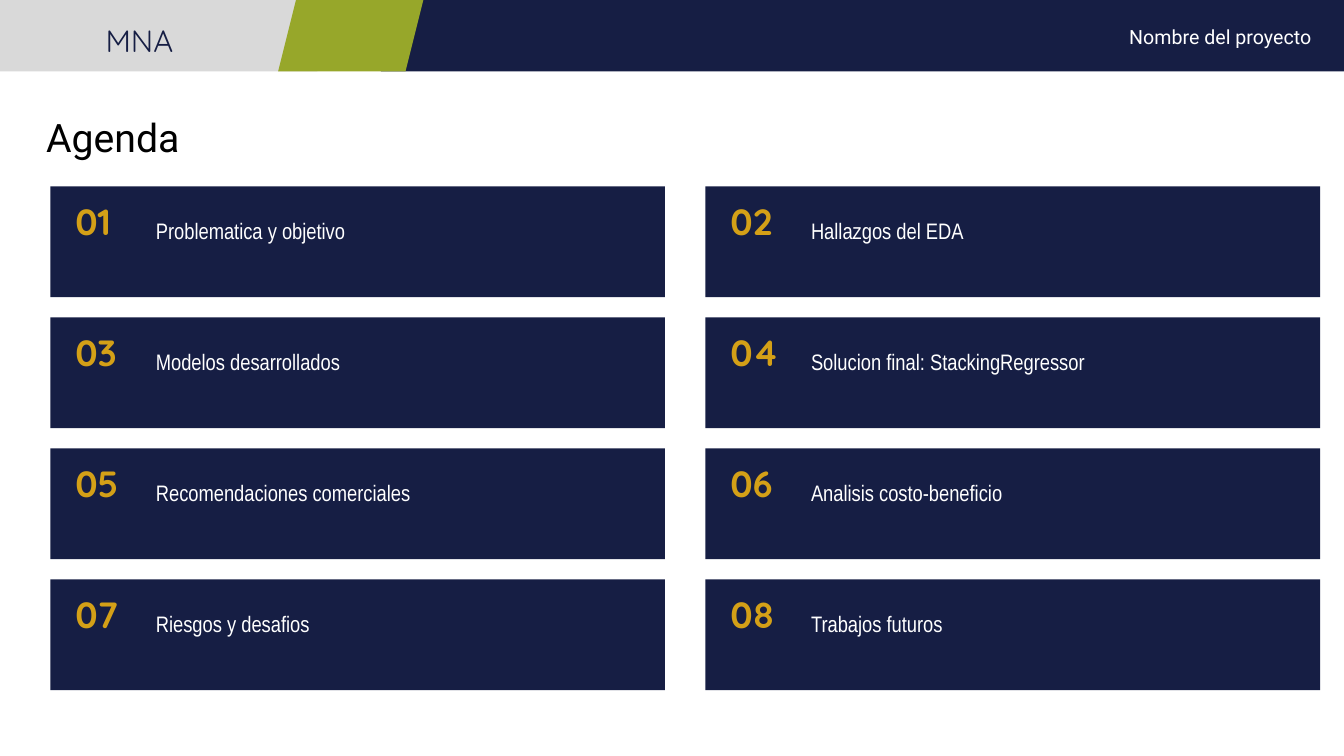
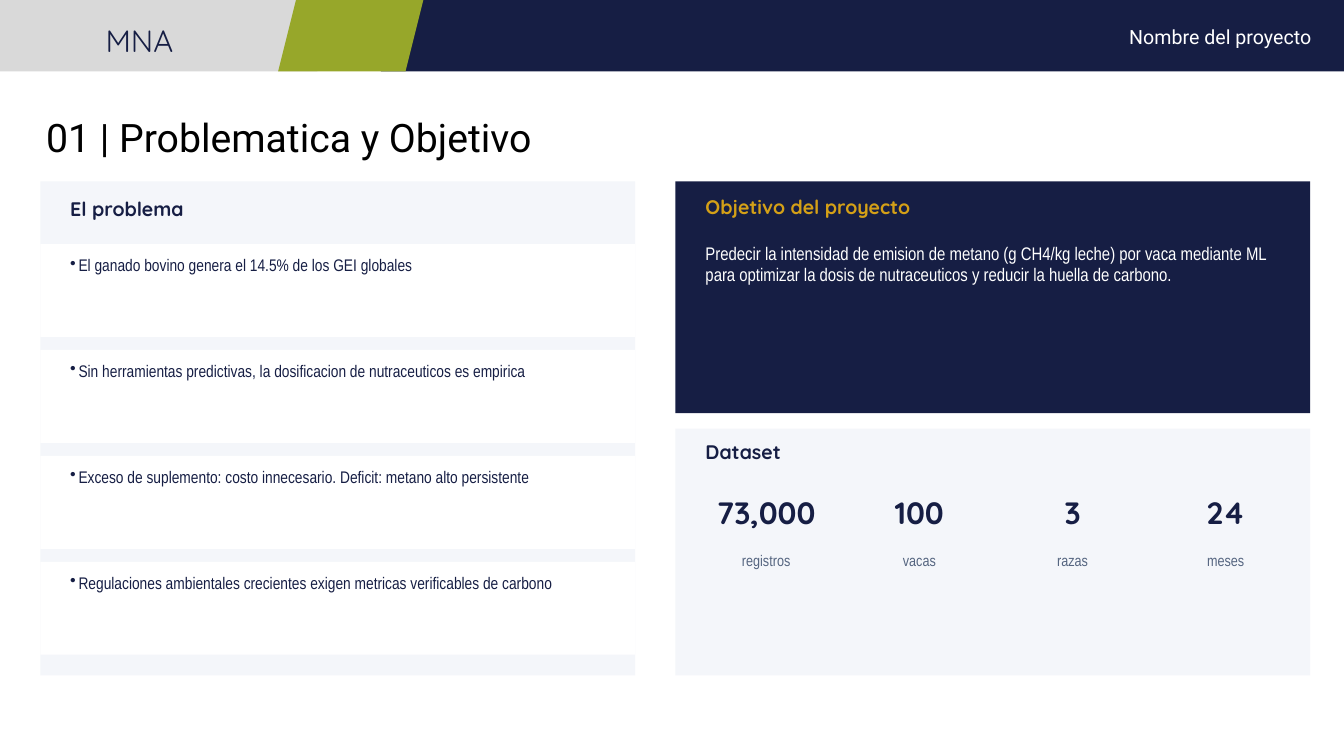
from dataclasses import dataclass

from lxml.etree import SubElement
from pptx import Presentation
from pptx.dml.color import RGBColor
from pptx.enum.shapes import MSO_SHAPE as Preset
from pptx.enum.text import MSO_ANCHOR as Anchor, MSO_AUTO_SIZE as AutoSize, PP_ALIGN as Align
from pptx.oxml.ns import qn
from pptx.shapes.autoshape import Shape
from pptx.slide import Slide
from pptx.util import Cm, Pt

NAVY = RGBColor(0x16, 0x1E, 0x44)
GOLD = RGBColor(0xD4, 0xA0, 0x17)
GREEN = RGBColor(0x97, 0xA7, 0x2A)
GREY = RGBColor(0xD9, 0xD9, 0xD9)
PALE = RGBColor(0xF4, 0xF6, 0xFA)
SLATE = RGBColor(0x55, 0x65, 0x80)
WHITE = RGBColor(0xFF, 0xFF, 0xFF)
BLACK = RGBColor(0x00, 0x00, 0x00)

PAGE_WIDTH, PAGE_HEIGHT = 33.87, 19.05
BAND_HEIGHT = 1.8
BULLET_INDENT = 0.21


@dataclass(frozen=True)
class Area:
    left: float
    top: float
    width: float
    height: float

    def lengths(self) -> tuple[Cm, Cm, Cm, Cm]:
        return Cm(self.left), Cm(self.top), Cm(self.width), Cm(self.height)


@dataclass(frozen=True)
class Style:
    font: str
    size: int
    color: RGBColor
    bold: bool = False
    align: Align = Align.LEFT
    line_spacing: float = 1.0


@dataclass(frozen=True)
class Figure:
    value: str
    unit: str


TITLE = Style("Roboto", 28, BLACK)
PROJECT = Style("Roboto", 14, WHITE, align=Align.RIGHT, line_spacing=1.15)
PROGRAM = Style("Quicksand", 22, NAVY, align=Align.CENTER, line_spacing=1.15)
AGENDA_NUMBER = Style("Quicksand", 26, GOLD, bold=True)
AGENDA_TOPIC = Style("Arial Narrow", 16, WHITE)
HEADING = Style("Quicksand", 14, NAVY, bold=True)
GOLD_HEADING = Style("Quicksand", 14, GOLD, bold=True)
BULLET = Style("Arial Narrow", 12, NAVY)
OBJECTIVE = Style("Arial Narrow", 13, WHITE)
FIGURE_VALUE = Style("Quicksand", 22, NAVY, bold=True, align=Align.CENTER)
FIGURE_UNIT = Style("Arial Narrow", 11, SLATE, align=Align.CENTER)

TOPICS = [
    "Problematica y objetivo",
    "Hallazgos del EDA",
    "Modelos desarrollados",
    "Solucion final: StackingRegressor",
    "Recomendaciones comerciales",
    "Analisis costo-beneficio",
    "Riesgos y desafios",
    "Trabajos futuros",
]
PROBLEMS = [
    "El ganado bovino genera el 14.5% de los GEI globales",
    "Sin herramientas predictivas, la dosificacion de nutraceuticos es empirica",
    "Exceso de suplemento: costo innecesario. Deficit: metano alto persistente",
    "Regulaciones ambientales crecientes exigen metricas verificables de carbono",
]
GOAL = (
    "Predecir la intensidad de emision de metano (g CH4/kg leche) por vaca mediante ML "
    "para optimizar la dosis de nutraceuticos y reducir la huella de carbono."
)
FIGURES = [
    Figure("73,000", "registros"),
    Figure("100", "vacas"),
    Figure("3", "razas"),
    Figure("24", "meses"),
]


def write(box: Shape, text: str, style: Style, bullet: bool = False) -> None:
    frame = box.text_frame
    frame.word_wrap = True
    frame.text = text
    para = frame.paragraphs[0]
    if bullet:
        properties = para._p.get_or_add_pPr()
        properties.set("marL", str(Cm(BULLET_INDENT)))
        properties.set("indent", str(-Cm(BULLET_INDENT)))
        SubElement(properties, qn("a:buChar"), char="•")
    para.alignment = style.align
    para.line_spacing = style.line_spacing
    para.font.name = style.font
    para.font.size = Pt(style.size)
    para.font.bold = style.bold
    para.font.color.rgb = style.color


def add_text(shapes, area: Area, text: str, style: Style, bullet: bool = False) -> Shape:
    box = shapes.add_textbox(*area.lengths())
    write(box, text, style, bullet)
    return box


def add_panel(shapes, area: Area, color: RGBColor, preset: Preset = Preset.RECTANGLE) -> Shape:
    panel = shapes.add_shape(preset, *area.lengths())
    panel.shadow.inherit = False
    panel.fill.solid()
    panel.fill.fore_color.rgb = color
    panel.line.fill.background()
    return panel


def add_page(deck: Presentation, title: str) -> Slide:
    page = deck.slides.add_slide(deck.slide_layouts.get_by_name("Title Only"))
    band = page.shapes.add_group_shape().shapes
    add_panel(band, Area(9.6, 0, PAGE_WIDTH - 9.6, BAND_HEIGHT), NAVY)
    add_panel(band, Area(0, 0, 8, BAND_HEIGHT), GREY)
    slant = add_panel(band, Area(7.01, 0, 3.66, BAND_HEIGHT), GREEN, Preset.PARALLELOGRAM)
    slant.adjustments[0] = 0.25
    project = add_text(band, Area(9.68, 0.3, 23.62, 1.7), "Nombre del proyecto", PROJECT)
    project.text_frame.margin_top = project.text_frame.margin_bottom = Cm(0.25)
    add_text(page.shapes, Area(1.7, 0.28, 3.63, 1.32), "MNA", PROGRAM)

    heading = page.shapes.title
    heading.left, heading.top, heading.width, heading.height = Area(0.91, 1.57, 19.35, 2.59).lengths()
    write(heading, title, TITLE)
    heading.text_frame.auto_size = AutoSize.NONE
    heading.text_frame.vertical_anchor = Anchor.BOTTOM
    heading.text_frame.paragraphs[0].space_after = Pt(12)
    return page


def build_agenda(deck: Presentation) -> None:
    shapes = add_page(deck, "Agenda").shapes
    for index, topic in enumerate(TOPICS):
        row, column = divmod(index, 2)
        left, top = 1.27 + column * 16.51, 4.7 + row * 3.3
        add_panel(shapes, Area(left, top, 15.49, 2.79), NAVY)
        add_text(shapes, Area(left + 0.38, top + 0.2, 1.78, 1.4), f"{index + 1:02}", AGENDA_NUMBER)
        add_text(shapes, Area(left + 2.41, top + 0.64, 12.7, 1.52), topic, AGENDA_TOPIC)


def build_problem(deck: Presentation) -> None:
    shapes = add_page(deck, "01 | Problematica y Objetivo").shapes

    add_panel(shapes, Area(1.02, 4.57, 14.99, 12.45), PALE)
    add_text(shapes, Area(1.52, 4.83, 13.72, 1.02), "El problema", HEADING)
    for index, problem in enumerate(PROBLEMS):
        top = 6.15 + index * 2.67
        add_panel(shapes, Area(1.02, top, 14.99, 2.34), WHITE)
        add_text(shapes, Area(1.52, top + 0.15, 13.97, 1.98), problem, BULLET, bullet=True)

    add_panel(shapes, Area(17.02, 4.57, 16, 5.84), NAVY)
    add_text(shapes, Area(17.53, 4.78, 14.73, 1.02), "Objetivo del proyecto", GOLD_HEADING)
    add_text(shapes, Area(17.53, 5.97, 14.99, 4.06), GOAL, OBJECTIVE)

    add_panel(shapes, Area(17.02, 10.8, 16, 6.22), PALE)
    add_text(shapes, Area(17.53, 10.97, 13.97, 1.02), "Dataset", HEADING)
    for index, figure in enumerate(FIGURES):
        left = 17.53 + index * 3.86
        add_text(shapes, Area(left, 12.32, 3.56, 1.4), figure.value, FIGURE_VALUE)
        add_text(shapes, Area(left, 13.77, 3.56, 0.89), figure.unit, FIGURE_UNIT)


def main() -> None:
    deck = Presentation()
    deck.slide_width, deck.slide_height = Cm(PAGE_WIDTH), Cm(PAGE_HEIGHT)
    build_agenda(deck)
    build_problem(deck)
    deck.save("out.pptx")


if __name__ == "__main__":
    main()
